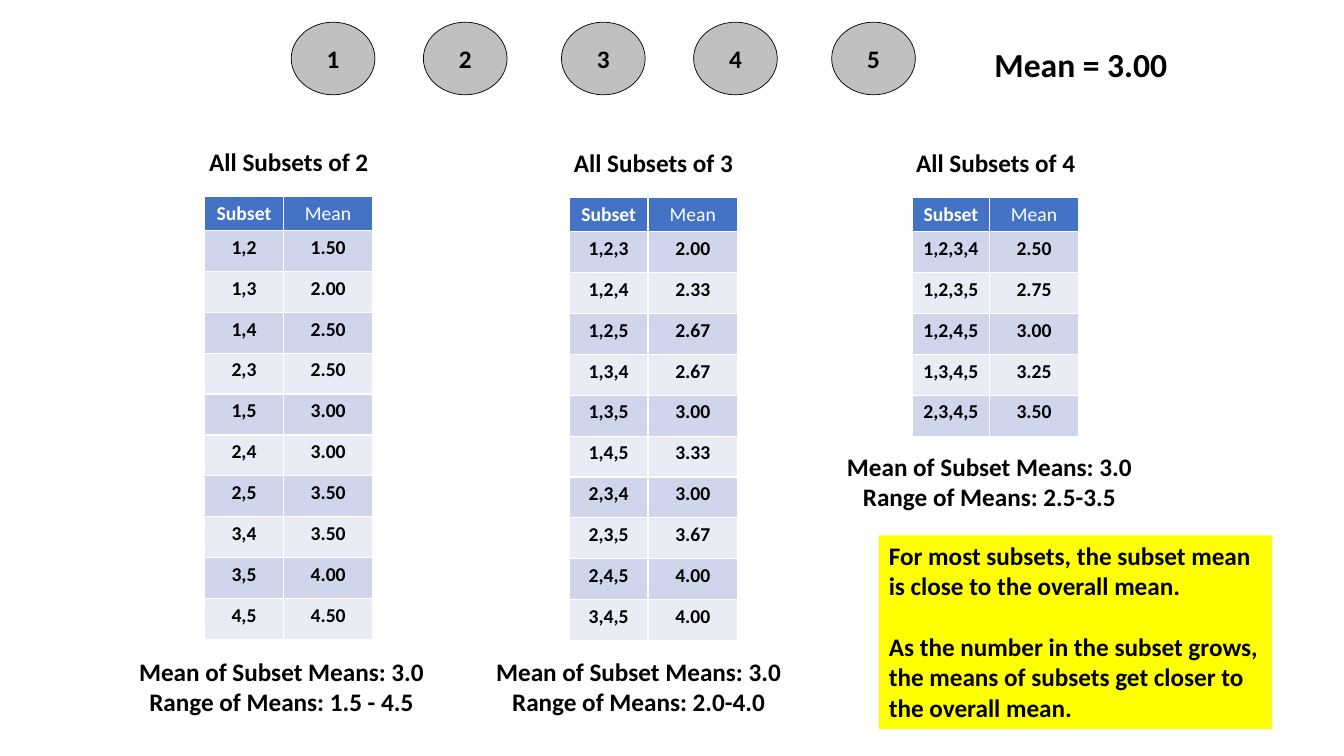
from pptx import Presentation
from pptx.dml.color import RGBColor
from pptx.enum.shapes import MSO_SHAPE
from pptx.enum.text import MSO_ANCHOR, PP_ALIGN
from pptx.util import Cm, Pt

BLACK, WHITE, GREY, YELLOW = "000000", "FFFFFF", "C0C0C0", "FFFF00"
HEADER_BLUE, BANDS = "4472C4", ("CFD5EA", "E9EBF5")
HEADER_HEIGHT, ROW_HEIGHT = 0.86, 1.03

PAIRS = [("1,2", "1.50"), ("1,3", "2.00"), ("1,4", "2.50"), ("2,3", "2.50"),
         ("1,5", "3.00"), ("2,4", "3.00"), ("2,5", "3.50"), ("3,4", "3.50"),
         ("3,5", "4.00"), ("4,5", "4.50")]
TRIPLES = [("1,2,3", "2.00"), ("1,2,4", "2.33"), ("1,2,5", "2.67"), ("1,3,4", "2.67"),
           ("1,3,5", "3.00"), ("1,4,5", "3.33"), ("2,3,4", "3.00"), ("2,3,5", "3.67"),
           ("2,4,5", "4.00"), ("3,4,5", "4.00")]
QUADRUPLES = [("1,2,3,4", "2.50"), ("1,2,3,5", "2.75"), ("1,2,4,5", "3.00"),
              ("1,3,4,5", "3.25"), ("2,3,4,5", "3.50")]


def color(hex_string):
    return RGBColor.from_string(hex_string)


def write(text_frame, lines, size=18, bold=True, ink=BLACK, align=PP_ALIGN.CENTER):
    text_frame.word_wrap = True
    for index, line in enumerate(lines):
        paragraph = text_frame.paragraphs[0] if index == 0 else text_frame.add_paragraph()
        paragraph.text = line
        paragraph.alignment = align
        paragraph.font.name = "Calibri"
        paragraph.font.size = Pt(size)
        paragraph.font.bold = bold
        paragraph.font.color.rgb = color(ink)


def add_text(slide, box, lines, size=18):
    shape = slide.shapes.add_textbox(*map(Cm, box))
    write(shape.text_frame, lines, size)


def add_filled(slide, kind, box, fill):
    shape = slide.shapes.add_shape(kind, *map(Cm, box))
    shape.shadow.inherit = False
    shape.fill.solid()
    shape.fill.fore_color.rgb = color(fill)
    return shape


def add_number_row(slide, top, lefts):
    for number, left in enumerate(lefts, start=1):
        circle = add_filled(slide, MSO_SHAPE.OVAL, (left, top, 2.11, 1.83), GREY)
        circle.line.color.rgb = color(BLACK)
        circle.line.width = Pt(0.5)
        frame = circle.text_frame
        frame.margin_left = frame.margin_right = 0
        frame.vertical_anchor = MSO_ANCHOR.MIDDLE
        write(frame, [str(number)])


def add_subset_table(slide, left, top, widths, rows):
    height = HEADER_HEIGHT + ROW_HEIGHT * len(rows)
    table = slide.shapes.add_table(len(rows) + 1, 2, Cm(left), Cm(top),
                                   Cm(sum(widths)), Cm(height)).table
    for column, width in zip(table.columns, widths):
        column.width = Cm(width)
    for row_index, values in enumerate([("Subset", "Mean"), *rows]):
        is_header = row_index == 0
        table.rows[row_index].height = Cm(HEADER_HEIGHT if is_header else ROW_HEIGHT)
        for column_index, value in enumerate(values):
            cell = table.cell(row_index, column_index)
            cell.margin_left = cell.margin_right = Cm(0.15)
            cell.fill.solid()
            cell.fill.fore_color.rgb = color(
                HEADER_BLUE if is_header else BANDS[(row_index - 1) % 2])
            write(cell.text_frame, [value], 14,
                  bold=not (is_header and column_index == 1),
                  ink=WHITE if is_header else BLACK)


def add_subset_panel(slide, left, top, widths, size, rows, summary_at, means_range):
    # Heading centred above the table
    heading_width = 4.62
    heading_left = left + (sum(widths) - heading_width) / 2
    add_text(slide, (heading_left, top - 1.4, heading_width, 1.02),
             [f"All Subsets of {size}"])
    add_subset_table(slide, left, top, widths, rows)
    # Summary under the table
    add_text(slide, (*summary_at, 7.95, 1.8),
             ["Mean of Subset Means: 3.0", f"Range of Means: {means_range}"])


def add_conclusion(slide, box):
    note = add_filled(slide, MSO_SHAPE.RECTANGLE, box, YELLOW)
    note.line.fill.background()
    frame = note.text_frame
    frame.vertical_anchor = MSO_ANCHOR.TOP
    write(frame, ["For most subsets, the subset mean is close to the overall mean.",
                  "As the number in the subset grows, the means of subsets get closer "
                  "to the overall mean."], align=PP_ALIGN.LEFT)
    frame.paragraphs[1].space_before = Pt(22)


def main():
    presentation = Presentation()
    presentation.slide_width, presentation.slide_height = Cm(33.87), Cm(19.05)
    slide = presentation.slides.add_slide(presentation.slide_layouts[6])

    # Numbers and their overall mean
    add_number_row(slide, 0.56, (7.34, 10.67, 14.15, 17.48, 20.96))
    add_text(slide, (24.28, 0.97, 5.92, 1.27), ["Mean = 3.00"], 24)

    # Subset tables
    wide, narrow = (1.98, 2.26), (1.93, 2.26)
    add_subset_panel(slide, 5.16, 4.95, wide, 2, PAIRS, (3.12, 16.41), "1.5 - 4.5")
    add_subset_panel(slide, 14.35, 4.98, wide, 3, TRIPLES, (12.12, 16.41), "2.0-4.0")
    add_subset_panel(slide, 23.0, 4.98, narrow, 4, QUADRUPLES, (20.96, 11.25), "2.5-3.5")

    # Conclusion
    add_conclusion(slide, (22.15, 13.49, 9.91, 4.88))
    presentation.save("out.pptx")


if __name__ == "__main__":
    main()
